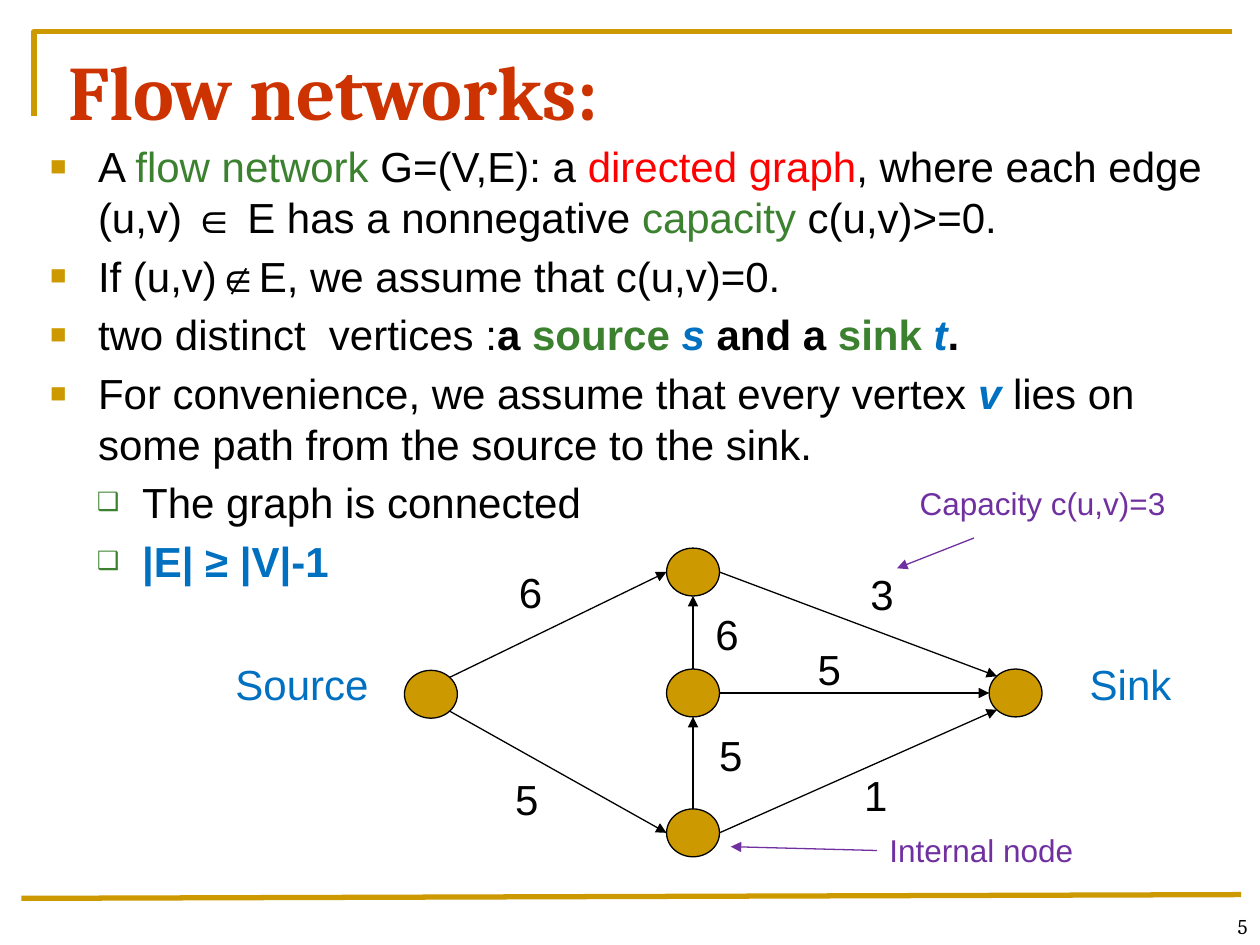
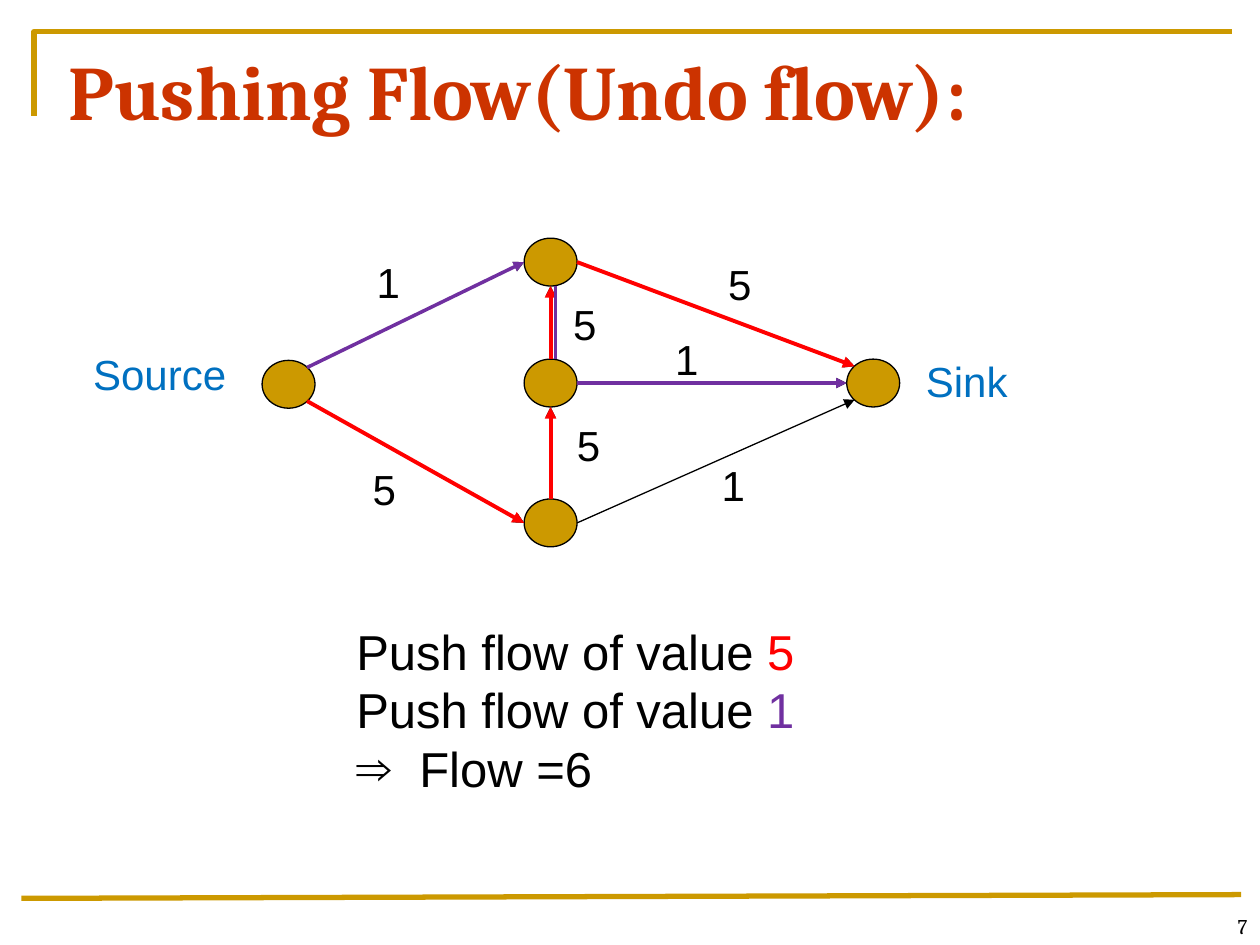
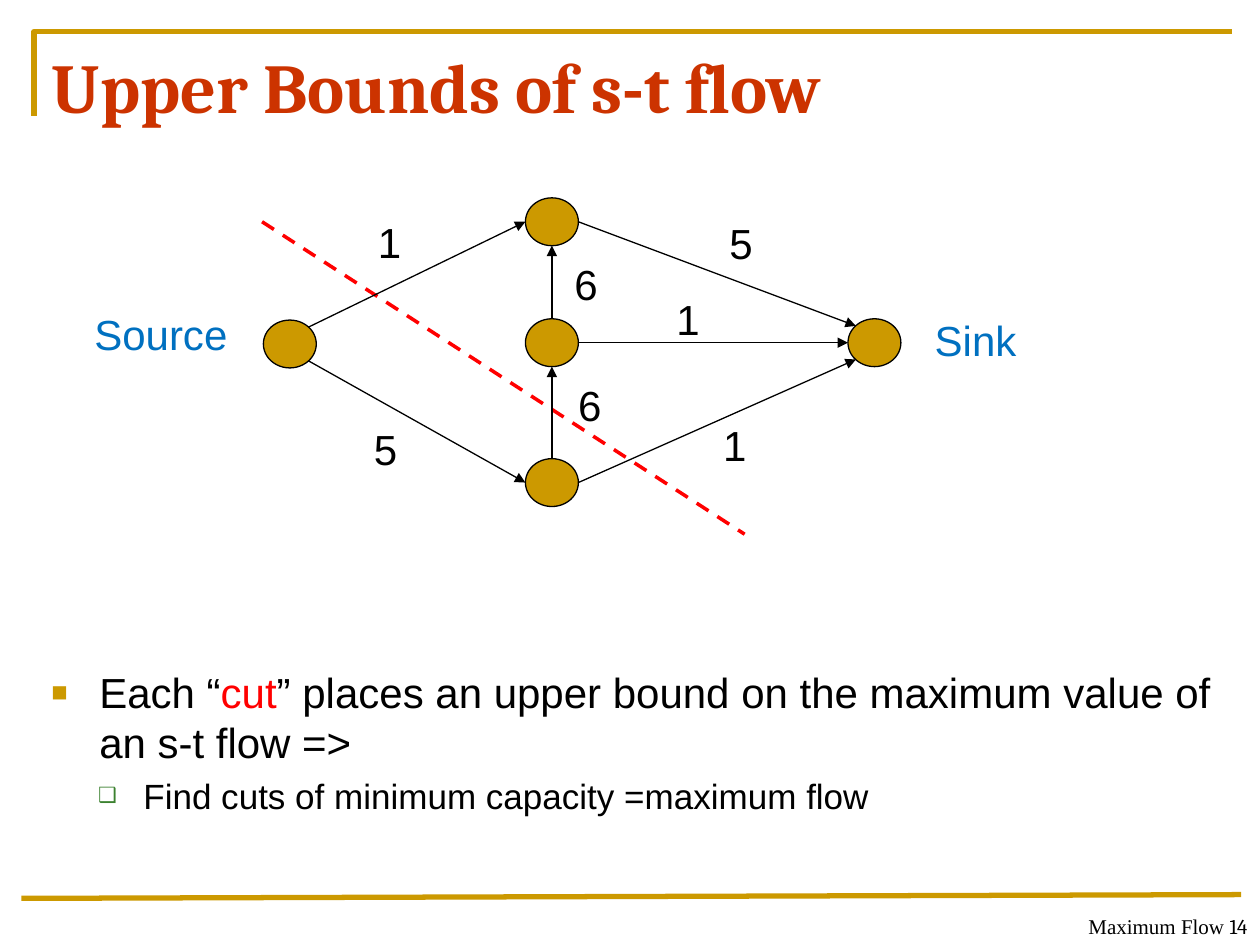
from dataclasses import dataclass

from lxml import etree
from pptx import Presentation
from pptx.dml.color import RGBColor
from pptx.enum.dml import MSO_LINE
from pptx.enum.shapes import MSO_CONNECTOR, MSO_SHAPE
from pptx.enum.text import MSO_ANCHOR, PP_ALIGN
from pptx.oxml.ns import qn
from pptx.util import Inches, Pt

STRAIGHT = MSO_CONNECTOR.STRAIGHT
ELLIPSE = MSO_SHAPE.OVAL
DASH = MSO_LINE.DASH
TOP, BOTTOM = MSO_ANCHOR.TOP, MSO_ANCHOR.BOTTOM
LEFT, RIGHT = PP_ALIGN.LEFT, PP_ALIGN.RIGHT

GOLD, RUST, BLACK = "CC9900", "CC3300", "000000"
GREEN, RED, BLUE, PURPLE = "3B812F", "FF0000", "0070C0", "7030A0"
BODY_FONT, TITLE_FONT, FOOTER_FONT = "Arial", "Cambria", "Times New Roman"

# Network geometry, relative to the left and top of the diagram
NODE_WIDTH, NODE_HEIGHT = 0.42, 0.38
NODES = {
    "source": (0, 0.97),
    "upper": (2.08, 0),
    "lower": (2.08, 2.07),
    "sink": (4.64, 0.96),
    "middle": (2.08, 0.96),
}
# Points on a node's outline, as fractions of its width and height
SITES = {
    "top": (0.5, 0), "bottom": (0.5, 1), "left": (0, 0.5), "right": (1, 0.5),
    "top left": (0.15, 0.15), "top right": (0.85, 0.15),
    "bottom left": (0.15, 0.85), "bottom right": (0.85, 0.85),
}
# Edge: start node, start site, end node, end site, place of its weight
EDGES = {
    "source-upper": ("source", "top right", "upper", "left", (0.81, 0.1)),
    "upper-sink": ("upper", "right", "sink", "top left", (3.6, 0.11)),
    "source-lower": ("source", "bottom right", "lower", "left", (0.78, 1.74)),
    "lower-middle": ("lower", "top", "middle", "bottom", (2.4, 1.39)),
    "middle-upper": ("middle", "top", "upper", "bottom", (2.37, 0.43)),
    "middle-sink": ("middle", "right", "sink", "left", (3.18, 0.71)),
    "lower-sink": ("lower", "right", "sink", "bottom left", (3.55, 1.71)),
}


@dataclass
class Span:
    """A stretch of text; what is None follows its paragraph."""
    text: str
    colour: str = None
    bold: bool = None
    italic: bool = None
    font: str = None


@dataclass
class Bullet:
    char: str
    indent: float
    hanging: float
    colour: str = None
    percent: int = 100
    spaced: bool = True


SQUARE = Bullet("■", 0.38, 0.38, GOLD, 65)
BOX = Bullet("❑", 0.73, 0.36, GREEN, 60)
IMPLIES = Bullet("⇒", 0.5, 0.5, spaced=False)


def rgb(colour):
    return RGBColor.from_string(colour)


def set_bullet(para, bullet, size):
    if bullet.spaced:
        para.space_before = Pt(size * 0.2)
    properties = para._p.get_or_add_pPr()
    properties.set("marL", str(Inches(bullet.indent)))
    properties.set("indent", str(-Inches(bullet.hanging)))
    parts = []
    if bullet.colour:
        colour = etree.Element(qn("a:buClr"))
        etree.SubElement(colour, qn("a:srgbClr"), val=bullet.colour)
        parts.append(colour)
    parts.append(etree.Element(qn("a:buSzPct"), val=str(bullet.percent * 1000)))
    parts.append(etree.Element(qn("a:buFont"), typeface=BODY_FONT))
    parts.append(etree.Element(qn("a:buChar"), char=bullet.char))
    font_defaults = properties.find(qn("a:defRPr"))
    for part in parts:
        font_defaults.addprevious(part)


def fill_paragraph(para, spans, size, colour=BLACK, font=BODY_FONT, bold=False,
                   align=LEFT, bullet=None):
    para.alignment = align
    para.font.name = font
    para.font.size = Pt(size)
    para.font.bold = bold
    para.font.color.rgb = rgb(colour)
    if bullet:
        set_bullet(para, bullet, size)
    for span in spans:
        run = para.add_run()
        run.text = span.text
        if span.colour:
            run.font.color.rgb = rgb(span.colour)
        if span.bold is not None:
            run.font.bold = span.bold
        if span.italic is not None:
            run.font.italic = span.italic
        if span.font:
            run.font.name = span.font


def add_text(page, box, paragraphs, anchor=TOP):
    """Place paragraphs, each a dict for fill_paragraph, in a wrapping text box."""
    frame = page.shapes.add_textbox(*map(Inches, box)).text_frame
    frame.word_wrap = True
    frame.vertical_anchor = anchor
    for index, paragraph in enumerate(paragraphs):
        para = frame.add_paragraph() if index else frame.paragraphs[0]
        fill_paragraph(para, **paragraph)


def add_label(page, left, top, width, text, colour=BLACK, size=24, height=0.5):
    add_text(page, (left, top, width, height),
             [dict(spans=[Span(text)], size=size, colour=colour)])


def add_line(page, start, end, colour=BLACK, width=0.75, arrow=False, dash=None):
    line = page.shapes.add_connector(STRAIGHT, *map(Inches, (*start, *end)))
    line.line.color.rgb = rgb(colour)
    line.line.width = Pt(width)
    if dash:
        line.line.dash_style = dash
    properties = line._element.spPr
    if arrow:
        etree.SubElement(properties.find(qn("a:ln")), qn("a:tailEnd"), type="triangle")
    etree.SubElement(properties, qn("a:effectLst"))


def add_page(deck, title, footer, title_size=44):
    """Add a slide with its corner bracket, bottom rule, title and footer."""
    page = deck.slides.add_slide(deck.slide_layouts[6])
    outline = page.shapes.build_freeform(Inches(0.27), Inches(0.92))
    outline.add_line_segments(
        [(Inches(0.27), Inches(0.25)), (Inches(9.78), Inches(0.25))], close=False)
    bracket = outline.convert_to_shape()
    bracket.shadow.inherit = False
    bracket.fill.background()
    bracket.line.color.rgb = rgb(GOLD)
    bracket.line.width = Pt(3)
    add_line(page, (0.17, 7.13), (9.85, 7.1), GOLD, 3)
    add_text(page, (6.63, 7.12, 3.37, 0.38),
             [dict(spans=footer, size=12, font=TITLE_FONT, align=RIGHT)], BOTTOM)
    add_text(page, (0.31, 0.3, 9.19, 0.82),
             [dict(spans=[Span(title)], size=title_size, colour=RUST,
                   font=TITLE_FONT, bold=True)])
    return page


def add_edge(page, origin, name, colour=BLACK, width=0.75, arrow=True, shift=0):
    def outline_point(node, site):
        x, y = NODES[node]
        across, down = SITES[site]
        return (origin[0] + x + across * NODE_WIDTH + shift,
                origin[1] + y + down * NODE_HEIGHT)

    start, start_site, end, end_site, _ = EDGES[name]
    add_line(page, outline_point(start, start_site), outline_point(end, end_site),
             colour, width, arrow)


def add_network(page, origin, weights, sink_label):
    """Draw nodes, edges and labels; weights follow the order of EDGES."""
    left, top = origin
    for x, y in NODES.values():
        node = page.shapes.add_shape(
            ELLIPSE, *map(Inches, (left + x, top + y, NODE_WIDTH, NODE_HEIGHT)))
        node.shadow.inherit = False
        node.fill.solid()
        node.fill.fore_color.rgb = rgb(GOLD)
        node.line.color.rgb = rgb(BLACK)
        node.line.width = Pt(0.75)
    for name, weight in zip(EDGES, weights):
        add_edge(page, origin, name)
        x, y = EDGES[name][-1]
        add_label(page, left + x, top + y, 0.57, weight)
    add_label(page, left - 1.44, top + 0.83, 1.45, "Source", BLUE)
    add_label(page, left + sink_label[0], top + sink_label[1], 1.45, "Sink", BLUE)


def add_definition_page(deck):
    page = add_page(deck, " Flow networks:", [Span("5")])
    points = [
        (SQUARE, [Span("A "), Span("flow network", GREEN), Span(" G=(V,E): a "),
                  Span("directed graph", RED),
                  Span(", where each edge (u,v) ∈ E has a nonnegative "),
                  Span("capacity", GREEN), Span(" c(u,v)>=0.")]),
        (SQUARE, [Span("If (u,v)∉E, we assume that c(u,v)=0.")]),
        (SQUARE, [Span("two distinct  vertices :"), Span("a ", bold=True),
                  Span("source ", GREEN, True), Span("s", BLUE, True, True),
                  Span(" and a ", bold=True), Span("sink ", GREEN, True),
                  Span("t", BLUE, True, True), Span(".", bold=True)]),
        (SQUARE, [Span("For convenience, we assume that every vertex "),
                  Span("v", BLUE, True, True),
                  Span(" lies on some path from the source to the sink.")]),
        (BOX, [Span("The graph is connected")]),
        (BOX, [Span("|E| ≥ |V|-1", BLUE, True)]),
    ]
    add_text(page, (0.3, 1.07, 9.7, 5.77),
             [dict(spans=spans, size=24, bullet=bullet) for bullet, spans in points])
    add_network(page, (3.21, 4.35), "6355651", (5.34, 0.83))
    add_label(page, 7.2, 3.79, 2.71, "Capacity c(u,v)=3", PURPLE, 18, 0.4)
    add_line(page, (7.73, 4.27), (7.12, 4.51), PURPLE, arrow=True)
    add_label(page, 6.96, 6.55, 1.98, "Internal node", PURPLE, 18, 0.4)
    add_line(page, (6.96, 6.75), (5.8, 6.72), PURPLE, arrow=True)


def add_pushing_page(deck):
    page = add_page(deck, " Pushing Flow(Undo flow):", [Span("7")])
    origin = (2.08, 1.89)
    add_network(page, origin, "1555511", (5.17, 0.88))
    for name in ("source-lower", "lower-middle", "middle-upper", "upper-sink"):
        add_edge(page, origin, name, RED, 2.25)
    for name in ("source-upper", "middle-sink"):
        add_edge(page, origin, name, PURPLE, 2)
    add_edge(page, origin, "middle-upper", PURPLE, 2, arrow=False, shift=0.04)
    pushes = [dict(spans=[Span("Push flow of value "), Span(value, colour)], size=28)
              for value, colour in (("5", RED), ("1", PURPLE))]
    add_text(page, (2.73, 4.88, 7.19, 1.99),
             pushes + [dict(spans=[Span("Flow =6")], size=28, bullet=IMPLIES)])


def add_bounds_page(deck):
    page = add_page(deck, "Upper Bounds of s-t flow",
                    [Span("Maximum Flow ", font=FOOTER_FONT), Span("14")], 40)
    add_line(page, (2.08, 1.76), (5.91, 4.24), RED, 2, dash=DASH)
    add_text(page, (0.31, 5.24, 9.65, 1.98), [
        dict(spans=[Span("Each “"), Span("cut", RED),
                    Span("” places an upper bound on the maximum value of "
                         "an s-t flow =>")], size=24, bullet=SQUARE),
        dict(spans=[Span("Find cuts of minimum capacity =maximum flow")],
             size=20, bullet=BOX),
    ])
    add_network(page, (2.09, 1.57), "1556611", (5.23, 0.88))


def main():
    deck = Presentation()
    deck.slide_width, deck.slide_height = Inches(10), Inches(7.5)
    add_definition_page(deck)
    add_pushing_page(deck)
    add_bounds_page(deck)
    deck.save("out.pptx")


if __name__ == "__main__":
    main()
